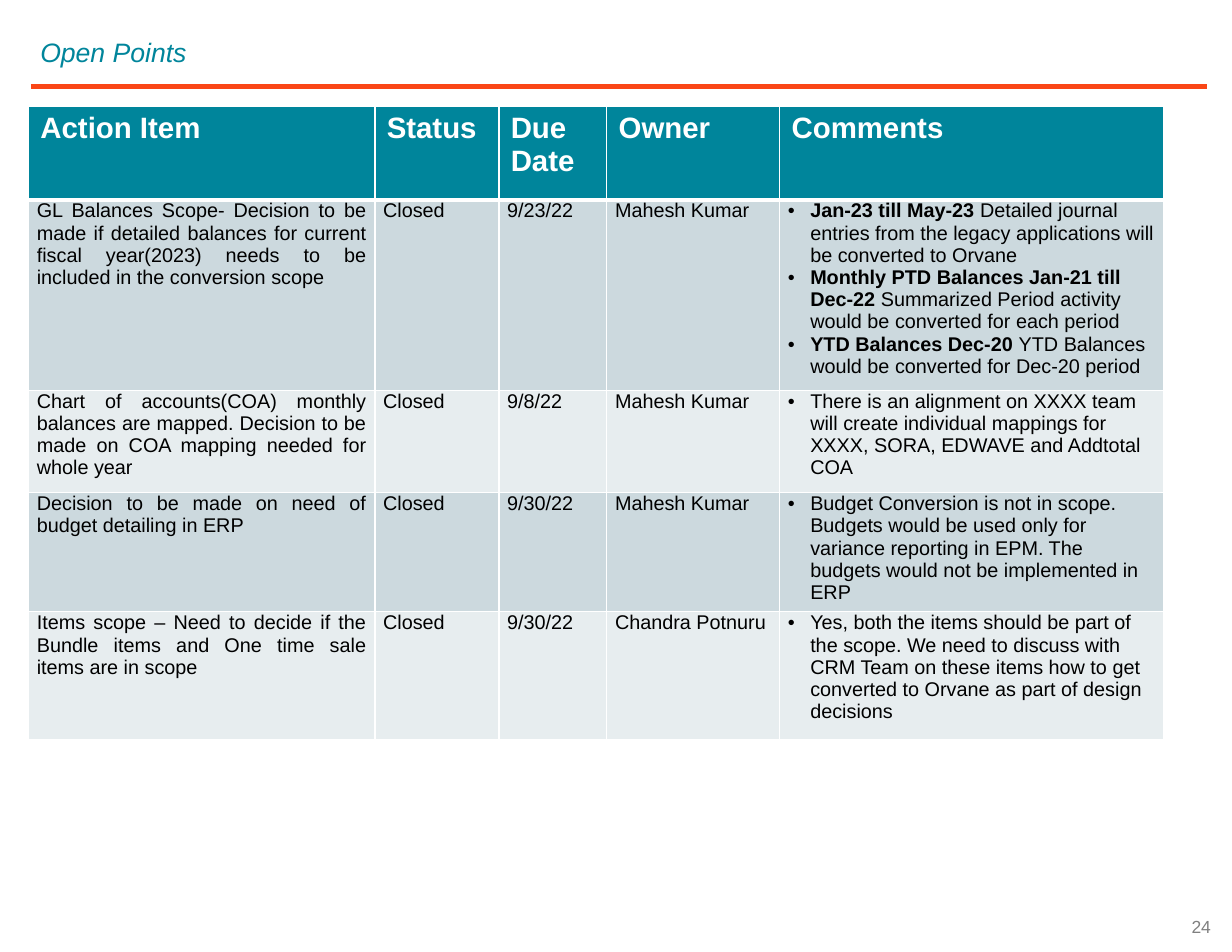
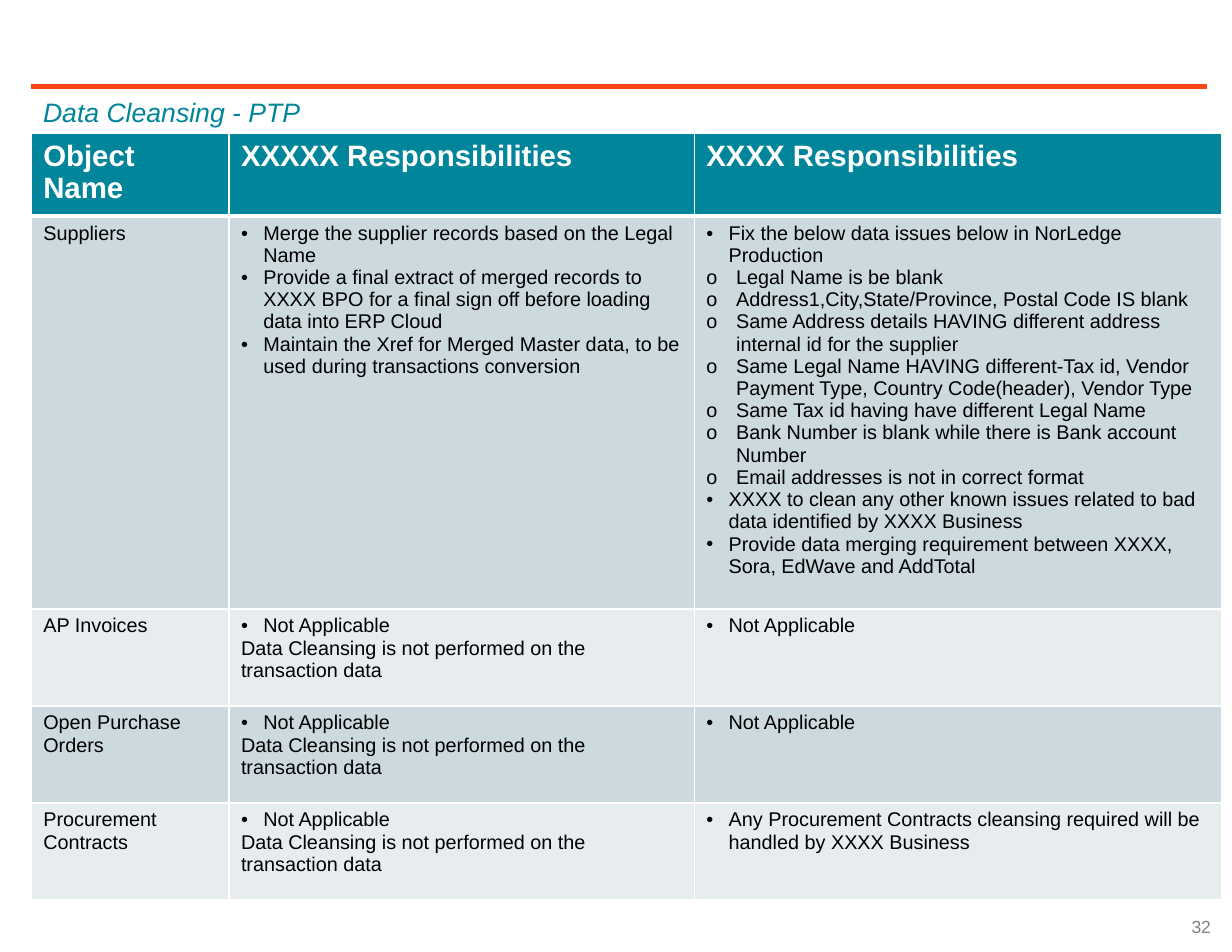
from dataclasses import dataclass

from lxml.etree import SubElement
from pptx import Presentation
from pptx.dml.color import RGBColor as Color
from pptx.enum.shapes import MSO_CONNECTOR as Connector
from pptx.enum.text import MSO_ANCHOR as Anchor, PP_ALIGN as Align
from pptx.oxml import parse_xml
from pptx.oxml.ns import nsdecls, qn
from pptx.util import Pt


@dataclass(frozen=True)
class Theme:
    font: str = "Arial"
    teal: str = "00859B"
    orange: str = "FA4616"
    white: str = "FFFFFF"
    black: str = "000000"
    gray: str = "808080"
    bands: tuple = ("CCD9DE", "E7EDEF")
    title_size: float = 16.1
    header_size: float = 17.8
    body_size: float = 12
    number_size: float = 10.6


THEME = Theme()
INDENTS = {"•": 13.5, "o": 18}
BODY_FORMAT = dict(size=Pt(THEME.body_size), bold=False)
HEADER_FORMAT = dict(size=Pt(THEME.header_size), bold=True)


@dataclass(frozen=True)
class Line:
    """One paragraph of a cell: an optional bold lead, then plain text."""
    text: str
    mark: str = ""
    lead: str = ""
    align: Align = Align.LEFT


def bullet(text, lead=""):
    return Line(text, "•", lead)


def circle(text):
    return Line(text, "o")


def justified(text):
    return Line(text, align=Align.JUSTIFY)


# Formatting helpers
def apply_format(target, values):
    for name, value in values.items():
        setattr(target, name, value)


def add_run(paragraph, text, color, values):
    run = paragraph.add_run()
    run.text = text
    apply_format(run.font, dict(name=THEME.font, **values))
    run.font.color.rgb = Color.from_string(color)


def set_bullet(paragraph, mark):
    properties = paragraph._p.get_or_add_pPr()
    indent = Pt(INDENTS[mark])
    properties.set("marL", str(indent))
    properties.set("indent", str(-indent))
    SubElement(properties, qn("a:buFont")).set("typeface", THEME.font)
    SubElement(properties, qn("a:buChar")).set("char", mark)


def set_borders(cell, top=1, bottom=1):
    properties = cell._tc.get_or_add_tcPr()
    widths = dict(lnL=1, lnR=1, lnT=top, lnB=bottom)
    for index, (side, width) in enumerate(widths.items()):
        properties.insert(index, parse_xml(
            f'<a:{side} {nsdecls("a")} w="{Pt(width)}"><a:solidFill>'
            f'<a:srgbClr val="{THEME.white}"/></a:solidFill></a:{side}>'))


# Slide furniture
def add_text(slide, text, box, color, values, frame_values, paragraph_values):
    shape = slide.shapes.add_textbox(*map(Pt, box))
    apply_format(shape.text_frame, dict(word_wrap=True, **frame_values))
    paragraph = shape.text_frame.paragraphs[0]
    apply_format(paragraph, paragraph_values)
    add_run(paragraph, text, color, values)


def add_title(slide, text, left, top):
    add_text(slide, text, (left, top, 711.5, 31.5), THEME.teal,
             dict(size=Pt(THEME.title_size), italic=True),
             {}, dict(line_spacing=1.2))


def add_page_number(slide, number):
    add_text(slide, str(number), (571.5, 545, 168, 31), THEME.gray,
             dict(size=Pt(THEME.number_size)),
             dict(vertical_anchor=Anchor.MIDDLE), dict(alignment=Align.RIGHT))


def add_rule(slide):
    rule = slide.shapes.add_connector(
        Connector.STRAIGHT, Pt(18.7), Pt(52.6), Pt(730), Pt(52.6))
    rule.line.color.rgb = Color.from_string(THEME.orange)
    rule.line.width = Pt(3)
    SubElement(rule._element.spPr, qn("a:effectLst"))


def add_slide(presentation, number):
    slide = presentation.slides.add_slide(presentation.slide_layouts[6])
    add_rule(slide)
    add_page_number(slide, number)
    return slide


# Tables
def fill_cell(cell, lines, fill, color, values):
    cell.fill.solid()
    cell.fill.fore_color.rgb = Color.from_string(fill)
    frame = cell.text_frame
    for index, line in enumerate(lines):
        paragraph = frame.add_paragraph() if index else frame.paragraphs[0]
        if line.mark:
            set_bullet(paragraph, line.mark)
        paragraph.alignment = line.align
        if line.lead:
            add_run(paragraph, line.lead, color, {**values, "bold": True})
        add_run(paragraph, line.text, color, values)


def as_lines(content):
    if isinstance(content, str):
        return [Line(content)]
    return content if isinstance(content, list) else [content]


def add_table(slide, left, top, widths, heights, headers, rows, margins=None):
    table = slide.shapes.add_table(
        len(heights), len(widths), Pt(left), Pt(top),
        Pt(sum(widths)), Pt(sum(heights))).table
    for column, width in zip(table.columns, widths):
        column.width = Pt(width)
    for row, height in zip(table.rows, heights):
        row.height = Pt(height)

    for index, text in enumerate(headers):
        cell = table.cell(0, index)
        fill_cell(cell, [Line(text)], THEME.teal, THEME.white, HEADER_FORMAT)
        set_borders(cell, bottom=3)

    for row_index, row in enumerate(rows, 1):
        band = THEME.bands[(row_index - 1) % 2]
        for column_index, content in enumerate(row):
            cell = table.cell(row_index, column_index)
            apply_format(cell, margins or {})
            fill_cell(cell, as_lines(content), band, THEME.black, BODY_FORMAT)
            set_borders(cell, top=3 if row_index == 1 else 1)


# Slides
def build_open_points(presentation):
    slide = add_slide(presentation, 24)
    add_title(slide, "Open Points", 17.3, 14.4)
    rows = [
        (justified("GL Balances Scope- Decision to be made if detailed "
                   "balances for current fiscal year(2023) needs to be "
                   "included in the conversion scope"),
         "Closed", "9/23/22", "Mahesh Kumar",
         [bullet(" Detailed journal entries from the legacy applications "
                 "will be converted to Orvane", "Jan-23 till May-23"),
          bullet("Summarized Period activity would be converted for each "
                 "period", "Monthly PTD Balances Jan-21 till Dec-22 "),
          bullet("YTD Balances would be converted for Dec-20 period",
                 "YTD Balances Dec-20 ")]),
        (justified("Chart of accounts(COA) monthly balances are mapped. "
                   "Decision to be made on COA mapping needed for whole year"),
         "Closed", "9/8/22", "Mahesh Kumar",
         bullet("There is an alignment on XXXX team will create individual "
                "mappings for XXXX, SORA, EDWAVE and Addtotal COA")),
        (justified("Decision to be made on need of budget detailing in ERP"),
         "Closed", "9/30/22", "Mahesh Kumar",
         bullet("Budget Conversion is not in scope. Budgets would be used "
                "only for variance reporting in EPM. The budgets would not "
                "be implemented in ERP")),
        (justified("Items scope – Need to decide if the Bundle items and "
                   "One time sale items are in scope"),
         "Closed", "9/30/22", "Chandra Potnuru",
         bullet("Yes, both the items should be part of the scope. We need to "
                "discuss with CRM Team on these items how to get converted "
                "to Orvane as part of design decisions")),
    ]
    add_table(slide, 17.3, 64.4, (209.5, 75, 65.3, 104.6, 232.4),
              (56.5, 107, 62, 67, 77.5),
              ("Action Item", "Status", "Due Date", "Owner", "Comments"), rows,
              dict(margin_left=Pt(5), margin_right=Pt(5),
                   margin_top=0, margin_bottom=0))


def build_data_cleansing(presentation):
    slide = add_slide(presentation, 32)
    not_applicable = bullet("Not Applicable")
    not_performed = [not_applicable, Line(
        "Data Cleansing is not performed on the transaction data")]
    rows = [
        ("Suppliers",
         [bullet("Merge the supplier records based on the Legal Name"),
          bullet("Provide a final extract of merged records to XXXX BPO for "
                 "a final sign off before loading data into ERP Cloud"),
          bullet("Maintain the Xref for Merged Master data, to be used "
                 "during transactions conversion")],
         [bullet("Fix the below data issues below in NorLedge Production"),
          circle("Legal Name is be blank"),
          circle("Address1,City,State/Province, Postal Code IS blank"),
          circle("Same Address details HAVING different address internal id "
                 "for the supplier"),
          circle("Same Legal Name HAVING different-Tax id, Vendor Payment "
                 "Type, Country Code(header), Vendor Type"),
          circle("Same Tax id having have different Legal Name"),
          circle("Bank Number is blank while there is Bank account Number"),
          circle("Email addresses is not in correct format"),
          bullet("XXXX to clean any other known issues related to bad data "
                 "identified by XXXX Business"),
          bullet("Provide data merging requirement between XXXX, Sora, "
                 "EdWave and AddTotal")]),
        ("AP Invoices", not_performed, not_applicable),
        ("Open Purchase Orders", not_performed, not_applicable),
        ("Procurement Contracts", not_performed,
         bullet("Any Procurement Contracts cleansing required will be "
                "handled by XXXX Business")),
    ]
    add_table(slide, 19, 80.8, (119.6, 281.5, 319), (47, 236, 58.7, 58.7, 58.7),
              ("Object Name", "XXXXX Responsibilities",
               "XXXX Responsibilities"), rows)
    add_title(slide, "Data Cleansing - PTP", 19, 50.6)


def main():
    presentation = Presentation()
    apply_format(presentation, dict(slide_width=Pt(745.2),
                                    slide_height=Pt(576)))
    build_open_points(presentation)
    build_data_cleansing(presentation)
    presentation.save("out.pptx")


if __name__ == "__main__":
    main()
